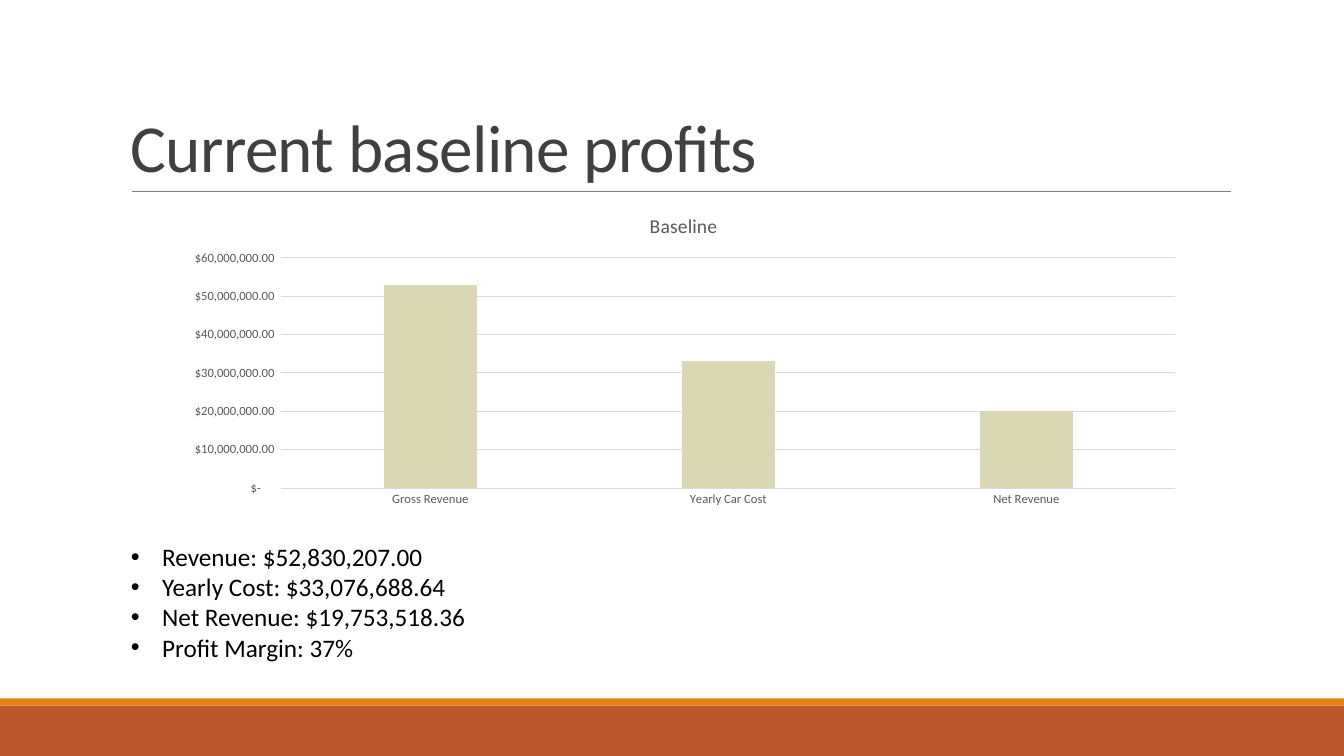
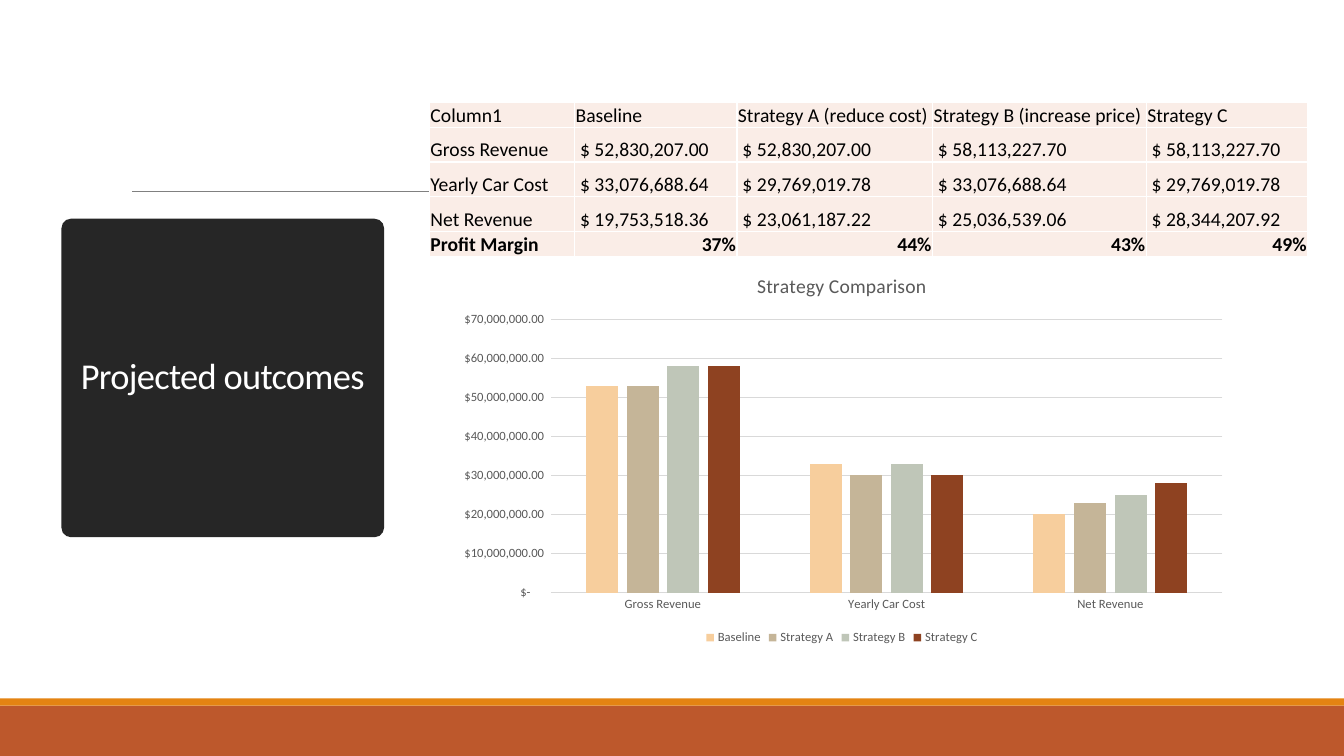
from dataclasses import dataclass
from lxml.etree import SubElement
from pptx import Presentation
from pptx.chart.data import CategoryChartData
from pptx.dml.color import RGBColor
from pptx.enum.chart import XL_CHART_TYPE, XL_LEGEND_POSITION, XL_TICK_MARK
from pptx.enum.shapes import MSO_CONNECTOR, MSO_SHAPE
from pptx.enum.text import MSO_ANCHOR, MSO_AUTO_SIZE, PP_ALIGN
from pptx.oxml import parse_xml
from pptx.oxml.ns import nsdecls, qn
from pptx.util import Inches, Pt


@dataclass(frozen=True)
class Theme:
    font: str = "Calibri"
    ink: str = "000000"
    title: str = "404040"
    white: str = "FFFFFF"
    panel: str = "262626"
    band: str = "BD582C"
    stripe: str = "E48312"
    rule: str = "808080"
    chart_text: str = "595959"
    grid: str = "D9D9D9"
    cell: str = "FAEDE7"
    baseline: str = "DAD7B3"
    strategies: tuple = ("F7CE9D", "C5B598", "BFC6B8", "8E4221")
    title_size: int = 48
    panel_size: int = 26
    body_size: int = 18
    table_size: int = 14
    chart_title_size: int = 14
    label_size: int = 9


@dataclass(frozen=True)
class Plan:
    name: str
    note: str
    gross: float
    cost: float

    @property
    def net(self):
        return round(self.gross - self.cost, 2)

    @property
    def margin(self):
        return f"{self.net / self.gross:.0%}"

    @property
    def amounts(self):
        return self.gross, self.cost, self.net


T = Theme()
MEASURES = ("Gross Revenue", "Yearly Car Cost", "Net Revenue")
PLANS = (
    Plan("Baseline", "", 52830207.00, 33076688.64),
    Plan("Strategy A", " (reduce cost)", 52830207.00, 29769019.78),
    Plan("Strategy B", " (increase price)", 58113227.70, 33076688.64),
    Plan("Strategy C", "", 58113227.70, 29769019.78),
)
MILLION = 1_000_000
MONEY = '_("$"* #,##0.00_);_("$"* \\(#,##0.00\\);_("$"* "-"??_);_(@_)'


def rgb(color):
    return RGBColor.from_string(color)


def inches(box):
    return [Inches(v) for v in box]


def style_font(font, size, color, bold=False):
    font.name, font.size, font.bold = T.font, Pt(size), bold
    font.color.rgb = rgb(color)


def add_run(p, text, size, color, bold=False, spacing=None):
    r = p.add_run()
    r.text = text
    style_font(r.font, size, color, bold)
    if spacing is not None:
        r.font._element.set("spc", str(int(spacing * 100)))


def add_block(s, kind, box, color):
    sp = s.shapes.add_shape(kind, *inches(box))
    sp.shadow.inherit = False
    sp.fill.solid()
    sp.fill.fore_color.rgb = rgb(color)
    sp.line.fill.background()
    return sp


def add_frame(prs):
    """Blank slide with the footer bands and the title rule."""
    s = prs.slides.add_slide(prs.slide_layouts[6])
    add_block(s, MSO_SHAPE.RECTANGLE, (0, 7, 13.33, 0.5), T.band)
    add_block(s, MSO_SHAPE.RECTANGLE, (0, 6.93, 13.33, 0.07), T.stripe)
    rule = s.shapes.add_connector(MSO_CONNECTOR.STRAIGHT, *inches((1.31, 1.9, 12.21, 1.9)))
    rule.line.color.rgb = rgb(T.rule)
    rule.line.width = Pt(0.5)
    SubElement(rule._element.spPr, qn("a:effectLst"))
    return s


def write_title(tf, text, size, color, anchor, align):
    tf.word_wrap = True
    tf.vertical_anchor = anchor
    p = tf.paragraphs[0]
    p.alignment, p.line_spacing = align, 0.85
    add_run(p, text, size, color, spacing=-0.5)


def add_title(s, box, text):
    tf = s.shapes.add_textbox(*inches(box)).text_frame
    write_title(tf, text, T.title_size, T.title, MSO_ANCHOR.BOTTOM, PP_ALIGN.LEFT)


def add_title_panel(s, box, text):
    sp = add_block(s, MSO_SHAPE.ROUNDED_RECTANGLE, box, T.panel)
    sp.adjustments[0] = 0.03
    write_title(sp.text_frame, text, T.panel_size, T.white, MSO_ANCHOR.MIDDLE, PP_ALIGN.CENTER)


def add_bullets(s, box, lines):
    tf = s.shapes.add_textbox(*inches(box)).text_frame
    tf.word_wrap = True
    tf.auto_size = MSO_AUTO_SIZE.SHAPE_TO_FIT_TEXT
    for i, line in enumerate(lines):
        p = tf.add_paragraph() if i else tf.paragraphs[0]
        pPr = p._p.get_or_add_pPr()
        pPr.set("marL", str(Inches(0.31)))
        pPr.set("indent", str(-Inches(0.31)))
        SubElement(pPr, qn("a:buFont"), typeface="Arial")
        SubElement(pPr, qn("a:buChar"), char="•")
        add_run(p, line, T.body_size, T.ink)


def add_columns(s, box, title, plans, colors, top, legend=False):
    """Clustered columns, one series per plan, in whole millions."""
    data = CategoryChartData(number_format=MONEY)
    data.categories = MEASURES
    for plan in plans:
        data.add_series(plan.name, [round(v / MILLION) * MILLION for v in plan.amounts])
    chart = s.shapes.add_chart(XL_CHART_TYPE.COLUMN_CLUSTERED, *inches(box), data).chart
    style_font(chart.font, T.label_size, T.chart_text)

    # Title and legend
    chart.has_title = True
    add_run(chart.chart_title.text_frame.paragraphs[0], title, T.chart_title_size, T.chart_text)
    chart.chart_title.include_in_layout = False
    chart.has_legend = legend
    if legend:
        chart.legend.position = XL_LEGEND_POSITION.BOTTOM
        chart.legend.include_in_layout = False
        style_font(chart.legend.font, T.label_size, T.chart_text)

    # Axes
    cat, val = chart.category_axis, chart.value_axis
    for axis in (cat, val):
        axis.major_tick_mark = axis.minor_tick_mark = XL_TICK_MARK.NONE
        style_font(axis.tick_labels.font, T.label_size, T.chart_text)
    val.minimum_scale, val.maximum_scale, val.major_unit = 0, top * MILLION, 10 * MILLION
    val.tick_labels.number_format = MONEY
    val.tick_labels.number_format_is_linked = False
    val.format.line.fill.background()
    for line in (cat.format.line, val.major_gridlines.format.line):
        line.color.rgb = rgb(T.grid)
        line.width = Pt(0.75)

    # Columns
    plot = chart.plots[0]
    plot.vary_by_categories = False
    plot.gap_width, plot.overlap = 219, -27
    for series, color in zip(plot.series, colors):
        series.format.fill.solid()
        series.format.fill.fore_color.rgb = rgb(color)


def add_borders(cell, color, width):
    tcPr = cell._tc.get_or_add_tcPr()
    for i, side in enumerate(("lnL", "lnR", "lnT", "lnB")):
        tcPr.insert(i, parse_xml(
            f'<a:{side} {nsdecls("a")} w="{Pt(width)}"><a:solidFill>'
            f'<a:srgbClr val="{color}"/></a:solidFill></a:{side}>'))


def add_plan_table(s, left, top, widths, heights):
    rows = [["Column1"] + [plan.name + plan.note for plan in PLANS]]
    for i, measure in enumerate(MEASURES):
        rows.append([measure] + [f" $ {plan.amounts[i]:,.2f}" for plan in PLANS])
    rows.append(["Profit Margin"] + [plan.margin for plan in PLANS])

    box = (left, top, sum(widths), sum(heights))
    table = s.shapes.add_table(len(rows), len(widths), *inches(box)).table
    table.first_row = table.horz_banding = False
    for column, width in zip(table.columns, widths):
        column.width = Inches(width)
    for row, height in zip(table.rows, heights):
        row.height = Inches(height)
    for i, row in enumerate(rows):
        last = i == len(rows) - 1
        for j, text in enumerate(row):
            cell = table.cell(i, j)
            cell.margin_left = cell.margin_right = cell.margin_top = Inches(0.01)
            cell.margin_bottom = 0
            cell.vertical_anchor = MSO_ANCHOR.BOTTOM
            cell.fill.solid()
            cell.fill.fore_color.rgb = rgb(T.cell)
            add_borders(cell, T.white, 1)
            p = cell.text_frame.paragraphs[0]
            p.alignment = PP_ALIGN.RIGHT if last and j else PP_ALIGN.LEFT
            add_run(p, text, T.table_size, T.ink, bold=last)


def baseline_slide(prs):
    s = add_frame(prs)
    base = PLANS[0]
    add_title(s, (1.2, 0.31, 11, 1.59), "Current baseline profits")
    add_columns(s, (1.7, 1.95, 10.16, 3.14), "Baseline", [base], [T.baseline], 60)
    add_bullets(s, (1.2, 5.32, 10.08, 1.31), (
        f"Revenue: ${base.gross:,.2f}",
        f"Yearly Cost: ${base.cost:,.2f}",
        f"Net Revenue: ${base.net:,.2f}",
        f"Profit Margin: {base.margin}",
    ))


def outcomes_slide(prs):
    s = add_frame(prs)
    add_columns(s, (4.42, 2.53, 7.86, 3.91), "Strategy Comparison", PLANS,
                T.strategies, 70, legend=True)
    add_title_panel(s, (0.61, 2.17, 3.2, 3.16), "Projected outcomes")
    add_plan_table(s, 4.26, 1.02, (1.44, 1.61, 1.94, 2.12, 1.6),
                   (0.24, 0.34, 0.34, 0.35, 0.24))


def main():
    prs = Presentation()
    prs.slide_width, prs.slide_height = Inches(13.33), Inches(7.5)
    baseline_slide(prs)
    outcomes_slide(prs)
    prs.save("out.pptx")


if __name__ == "__main__":
    main()
